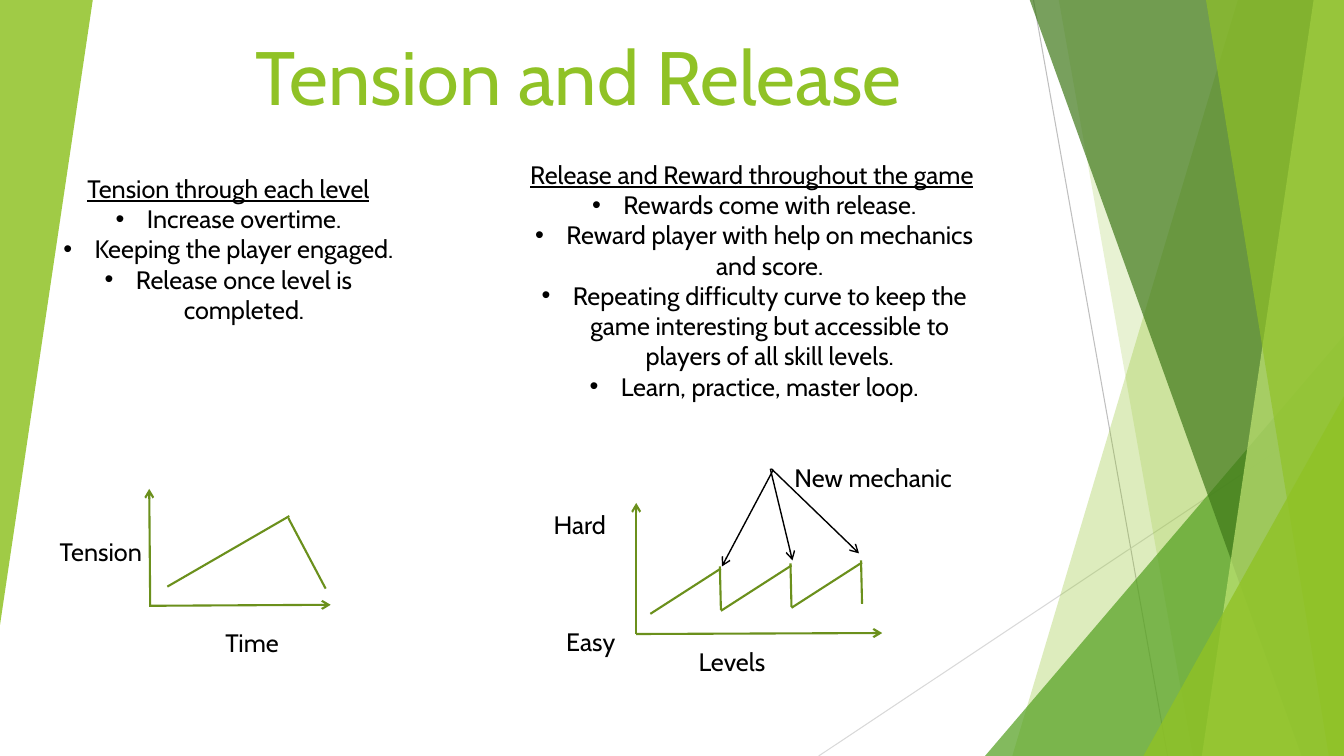
from dataclasses import dataclass

from lxml import etree
from pptx import Presentation, util as u
from pptx.dml import color
from pptx.enum import shapes, text
from pptx.oxml import ns

PX = 9144


@dataclass(frozen=True)
class Theme:
    font: str = "Cabin"
    green: str = "90C226"
    mid: str = "54A021"
    dark: str = "3F7819"
    pale: str = "C0E474"
    graph: str = "6B901C"
    black: str = "000000"
    gray: str = "BFBFBF"
    light: str = "D9D9D9"
    title: int = 54
    body: int = 18


def add_tag(parent, tag, **attrs):
    return etree.SubElement(parent, ns.qn("a:" + tag), attrs)


def write(para, words, size, tint, font, align="CENTER", under=False, bullet=False):
    para.alignment = getattr(text.PP_ALIGN, align)
    run = para.add_run()
    run.text = words
    run.font.name = font
    run.font.size = u.Pt(size)
    run.font.underline = under
    run.font.color.rgb = color.RGBColor.from_string(tint)
    if bullet:
        props = para._p.get_or_add_pPr()
        props.set("marL", str(31 * PX))
        props.set("indent", str(-31 * PX))
        add_tag(props, "buFont", typeface="Arial")
        add_tag(props, "buChar", char="•")


class Canvas:
    def __init__(self, slide, theme):
        self.slide = slide
        self.theme = theme

    def line(self, start, end, tint=None, width=1.5, arrow=False):
        ends = [n * PX for n in (*start, *end)]
        link = self.slide.shapes.add_connector(shapes.MSO_CONNECTOR.STRAIGHT, *ends)
        link.line.color.rgb = color.RGBColor.from_string(tint or self.theme.graph)
        link.line.width = u.Pt(width)
        if arrow:
            add_tag(link.line._get_or_add_ln(), "tailEnd", type="arrow")
        add_tag(link._element.spPr, "effectLst")

    def paint(self, shape, tint, alpha):
        shape.shadow.inherit = False
        shape.fill.solid()
        shape.fill.fore_color.rgb = color.RGBColor.from_string(tint)
        shape.line.fill.background()
        rgb = shape._element.spPr.find(".//" + ns.qn("a:srgbClr"))
        add_tag(rgb, "alpha", val=str(alpha * 1000))

    def band(self, top, base, tint, alpha):
        form = self.slide.shapes.build_freeform(top, -1, scale=PX)
        form.add_line_segments([(1333, -1), (1333, 750), (base, 750)], close=True)
        self.paint(form.convert_to_shape(), tint, alpha)

    def wedge(self, box, tint, alpha, turn=0):
        kind = shapes.MSO_SHAPE.ISOSCELES_TRIANGLE
        shape = self.slide.shapes.add_shape(kind, *[n * PX for n in box])
        shape.adjustments[0] = 1
        shape.rotation = turn
        self.paint(shape, tint, alpha)

    def frame(self, box, anchor="TOP"):
        area = self.slide.shapes.add_textbox(*[n * PX for n in box]).text_frame
        area.word_wrap = True
        area.vertical_anchor = getattr(text.MSO_ANCHOR, anchor)
        return area

    def title(self, box, words):
        para = self.frame(box, "BOTTOM").paragraphs[0]
        look = self.theme
        write(para, words, look.title, look.green, look.font, align="RIGHT")

    def label(self, left, top, words):
        para = self.frame((left, top, 300, 40)).paragraphs[0]
        look = self.theme
        write(para, words, look.body, look.black, look.font)

    def list(self, box, head, items, align="CENTER"):
        area = self.frame(box)
        base = (self.theme.body, self.theme.black, self.theme.font)
        write(area.paragraphs[0], head, *base, align=align, under=True)
        for item in items:
            write(area.add_paragraph(), item, *base, bullet=True)


def main():
    deck = Presentation()
    deck.slide_width = u.Inches(13.33)
    deck.slide_height = u.Inches(7.5)
    look = Theme()
    page = Canvas(deck.slides.add_slide(deck.slide_layouts[6]), look)

    page.line((1025, 0), (1158, 750), look.gray, 0.75)
    page.line((1333, 403), (812, 750), look.light, 0.75)
    page.band(1228, 1004, look.green, 30)
    page.band(1050, 1183, look.green, 20)
    page.wedge((977, 333, 356, 417), look.mid, 72)
    page.band(1021, 1291, look.dark, 70)
    page.band(1303, 1192, look.pale, 70)
    page.band(1196, 1318, look.green, 65)
    page.wedge((1134, 393, 199, 357), look.green, 80)
    page.wedge((0, 0, 92, 620), look.green, 85, turn=180)

    page.title((-96, 12, 1000, 113), "Tension and Release")
    page.list((49, 167, 355, 252), "Tension through each level", [
        "Increase overtime.",
        "Keeping the player engaged.",
        "Release once level is completed.",
    ])
    page.list((516, 153, 464, 374), "Release and Reward throughout the game", [
        "Rewards come with release.",
        "Reward player with help on mechanics and score.",
        "Repeating difficulty curve to keep the game interesting "
        "but accessible to players of all skill levels.",
        "Learn, practice, master loop.",
    ], align="LEFT")

    page.line((166, 582), (287, 512))
    page.line((286, 514), (323, 584))
    for start, end in [
        ((148, 601), (328, 600)), ((149, 601), (148, 485)),
        ((631, 629), (875, 628)), ((631, 629), (631, 499)),
    ]:
        page.line(start, end, arrow=True)

    for step in range(3):
        x, y = 645 + 70 * step, 609 - 3 * step
        page.line((x, y), (x + 70, y - 45))
        page.line((x + 70, y - 4), (x + 69, y - 47))

    for start, end in [
        ((767, 466), (716, 562)),
        ((764, 465), (786, 556)),
        ((765, 465), (852, 549)),
    ]:
        page.line(start, end, look.black, 1, arrow=True)

    for left, top, words in [
        (100, 617, "Time"), (-50, 527, "Tension"), (576, 636, "Levels"),
        (425, 500, "Hard"), (436, 616, "Easy"), (716, 454, "New mechanic"),
    ]:
        page.label(left, top, words)

    deck.save("out.pptx")


if __name__ == "__main__":
    main()
